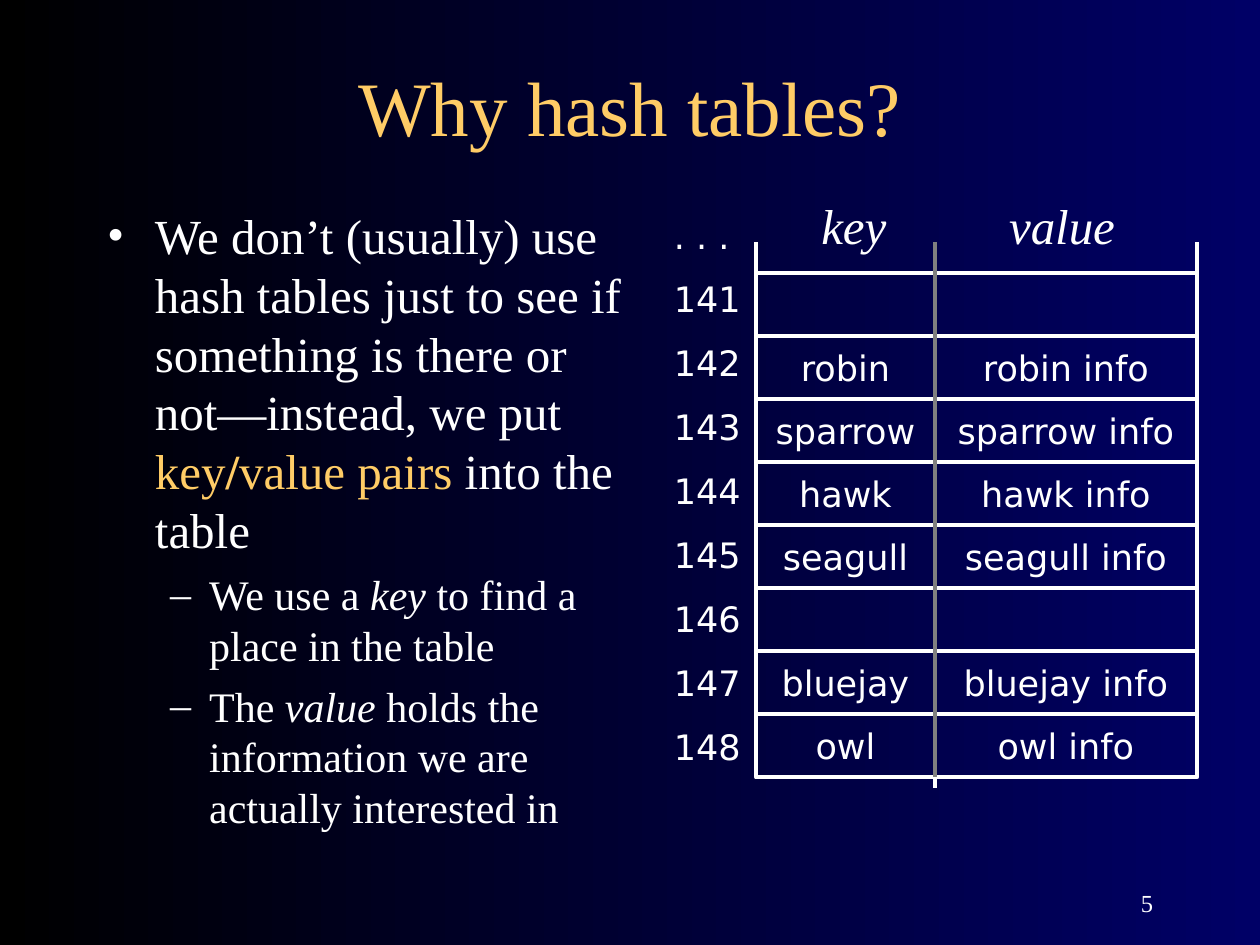
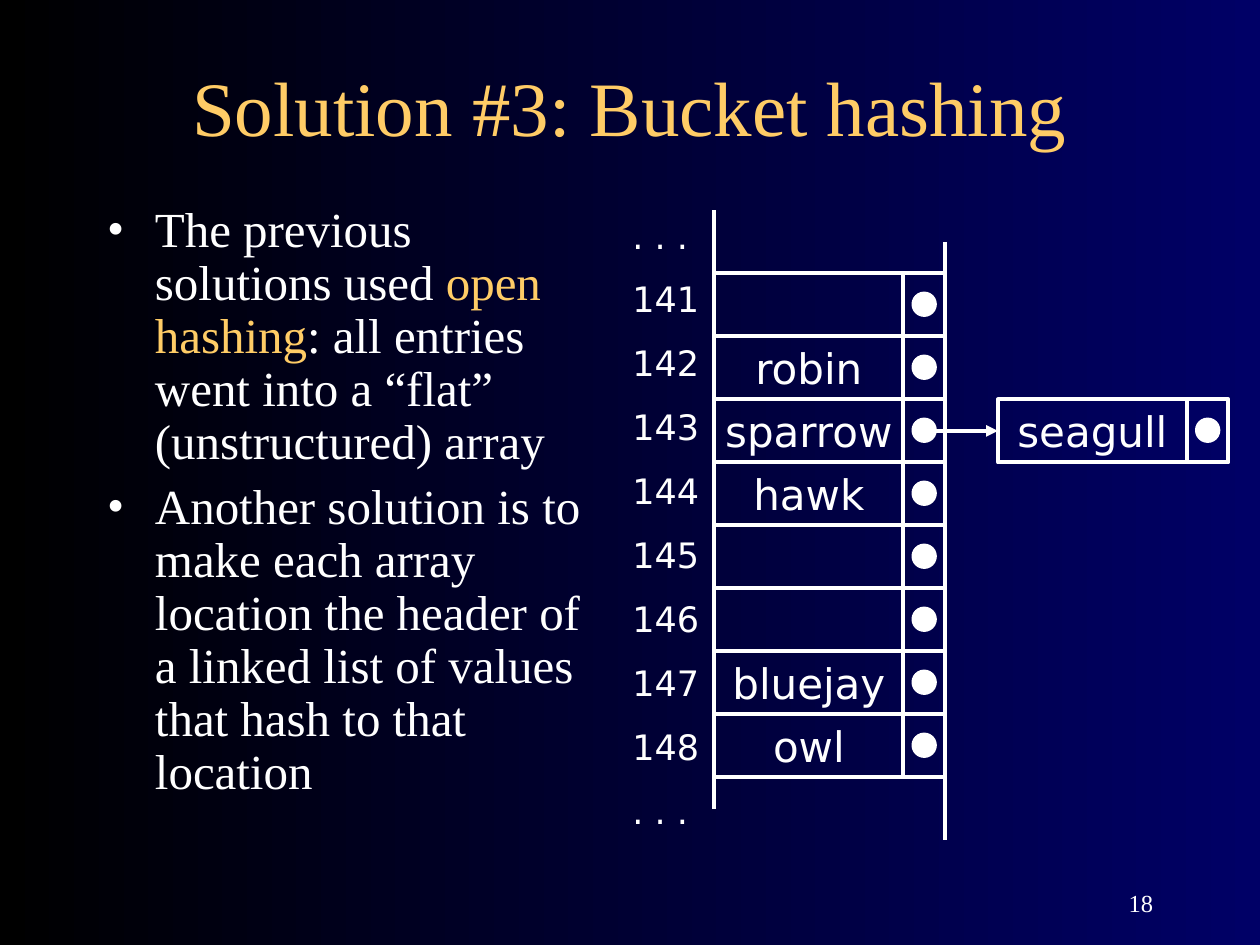
from lxml.etree import SubElement
from pptx import Presentation
from pptx.dml.color import RGBColor
from pptx.enum.shapes import MSO_CONNECTOR, MSO_SHAPE
from pptx.enum.text import MSO_ANCHOR, MSO_AUTO_SIZE, PP_ALIGN
from pptx.oxml.ns import qn
from pptx.util import Inches, Pt

WHITE, GOLD, GRAY = "FFFFFF", "FFCC66", "808080"
NAVY, BLACK = "000066", "000000"
SERIF, SANS = "Times New Roman", "DejaVu Sans"
ROW_H = 0.5
LINE_W = Pt(2.25)
BULLETS = [("•", 0.38, -0.38, 28, 7), ("–", 0.81, -0.31, 24, 6)]
INDEXES = [str(n) for n in range(141, 149)]
DOTS = ". . ."


def rgb(value):
    return RGBColor.from_string(value)


def inches(*values):
    return [Inches(v) for v in values]


def add_run(p, text, size, font=SERIF, color=WHITE, bold=False, italic=False):
    r = p.add_run()
    r.text = text
    r.font.name, r.font.size = font, Pt(size)
    r.font.bold, r.font.italic = bold, italic
    r.font.color.rgb = rgb(color)


def set_background(master):
    fill = master.background.fill
    fill.gradient()
    fill.gradient_angle = 180
    for stop, position, color in zip(fill.gradient_stops, (0, 1), (NAVY, BLACK)):
        stop.position = position
        stop.color.rgb = rgb(color)


def place(sp, x, y, w, h):
    sp.left, sp.top, sp.width, sp.height = inches(x, y, w, h)


def add_title(s, text):
    sp = s.shapes.title
    place(sp, 0.75, 0.42, 8.5, 0.83)
    tf = sp.text_frame
    tf.auto_size = MSO_AUTO_SIZE.NONE
    tf.vertical_anchor = MSO_ANCHOR.MIDDLE
    p = tf.paragraphs[0]
    p.alignment = PP_ALIGN.CENTER
    p.line_spacing = 1.0
    add_run(p, text, 44, color=GOLD)


def format_bullet(p, level):
    char, margin, indent, _, _ = BULLETS[level]
    p.level = level
    pPr = p._p.get_or_add_pPr()
    pPr.set("marL", str(Inches(margin)))
    pPr.set("indent", str(Inches(indent)))
    color = SubElement(pPr, qn("a:buClr"))
    SubElement(color, qn("a:srgbClr"), val=WHITE)
    SubElement(pPr, qn("a:buFont"), typeface=SERIF)
    SubElement(pPr, qn("a:buChar"), char=char)


def add_body(s, width, items, spacing):
    sp = s.placeholders[1]
    place(sp, 0.75, 1.58, width, 5.08)
    tf = sp.text_frame
    tf.auto_size = MSO_AUTO_SIZE.NONE
    for i, (level, runs) in enumerate(items):
        p = tf.add_paragraph() if i else tf.paragraphs[0]
        format_bullet(p, level)
        _, _, _, size, before = BULLETS[level]
        p.space_before = Pt(before if i else 0)
        p.line_spacing = spacing
        for text, style in runs:
            add_run(p, text, size, **style)


def add_text(s, x, y, w, h):
    tf = s.shapes.add_textbox(*inches(x, y, w, h)).text_frame
    tf.word_wrap = True
    return tf


def add_number(s, number):
    tf = add_text(s, 7.17, 6.83, 2.08, 0.5)
    tf.vertical_anchor = MSO_ANCHOR.BOTTOM
    p = tf.paragraphs[0]
    p.alignment = PP_ALIGN.RIGHT
    add_run(p, number, 14)


def add_labels(s, x, labels):
    tf = add_text(s, x, 1.65, 0.75, 5)
    for i, label in enumerate(labels):
        p = tf.add_paragraph() if i else tf.paragraphs[0]
        p.space_before = Pt(12.5 if i else 0)
        p.line_spacing = 1.0
        add_run(p, label, 20, SANS)


def add_outlined(s, kind, x, y, w, h):
    sp = s.shapes.add_shape(kind, *inches(x, y, w, h))
    sp.shadow.inherit = False
    sp.fill.background()
    sp.line.color.rgb = rgb(WHITE)
    sp.line.width = LINE_W
    return sp


def add_cell(s, x, y, w, text="", size=20):
    sp = add_outlined(s, MSO_SHAPE.FLOWCHART_PROCESS, x, y, w, ROW_H)
    if text:
        tf = sp.text_frame
        tf.word_wrap = False
        tf.vertical_anchor = MSO_ANCHOR.MIDDLE
        p = tf.paragraphs[0]
        p.alignment = PP_ALIGN.CENTER
        add_run(p, text, size, SANS)


def add_column(s, x, y, w, texts, size):
    for i, text in enumerate(texts):
        add_cell(s, x, y + i * ROW_H, w, text, size)


def add_line(s, x1, y1, x2, y2, color=WHITE, arrow=False):
    c = s.shapes.add_connector(MSO_CONNECTOR.STRAIGHT, *inches(x1, y1, x2, y2))
    c.line.color.rgb = rgb(color)
    c.line.width = LINE_W
    if arrow:
        SubElement(c.line._get_or_add_ln(), qn("a:tailEnd"), type="triangle")
    SubElement(c._element.spPr, qn("a:effectLst"))


def add_link_cell(s, x, y):
    add_cell(s, x, y, 0.33)
    dot = add_outlined(s, MSO_SHAPE.OVAL, x + 0.08, y + 0.16, 0.17, 0.17)
    dot.fill.solid()
    dot.fill.fore_color.rgb = rgb(WHITE)


def add_key_value_table(s, x, y, birds):
    key_w, value_w = 1.42, 2.08
    middle, right = x + key_w, x + key_w + value_w
    top, bottom = y - 0.25, y + len(birds) * ROW_H
    add_column(s, x, y, key_w, birds, 20)
    add_labels(s, x - 0.75, [DOTS] + INDEXES)
    add_line(s, x, top, x, bottom)
    add_line(s, middle, top + 0.08, middle, bottom + 0.08)
    add_column(s, middle, y, value_w, [b and f"{b} info" for b in birds], 20)
    add_line(s, middle, top, middle, bottom, GRAY)
    add_line(s, right, top, right, bottom)
    p = add_text(s, x + 0.42, y - 0.67, 3.08, 0.57).paragraphs[0]
    tabs = SubElement(p._p.get_or_add_pPr(), qn("a:tabLst"))
    SubElement(tabs, qn("a:tab"), pos=str(Inches(1.49)), algn="l")
    p.line_spacing = 1.0
    add_run(p, "key\tvalue", 28, italic=True)


def add_bucket_table(s, x, y, birds, chained, chained_row):
    key_w, link_w = 1.5, 0.33
    right = x + key_w + link_w
    bottom = y + len(birds) * ROW_H
    add_column(s, x, y, key_w, birds, 24)
    add_labels(s, x - 0.75, [DOTS] + INDEXES + [DOTS])
    add_line(s, x, y - 0.5, x, bottom + 0.25)
    add_line(s, right, y - 0.25, right, bottom + 0.5)
    for i in range(len(birds)):
        add_link_cell(s, x + key_w, y + i * ROW_H)
    node_x, node_y = x + 2.25, y + chained_row * ROW_H
    add_cell(s, node_x, node_y, key_w, chained, 24)
    add_link_cell(s, node_x + key_w, node_y)
    arrow_y = node_y + ROW_H / 2
    add_line(s, x + key_w + link_w / 2, arrow_y, node_x, arrow_y, arrow=True)


def add_slide(prs, title, number, body_w, items, spacing):
    s = prs.slides.add_slide(prs.slide_layouts[1])
    add_title(s, title)
    add_body(s, body_w, items, spacing)
    add_number(s, number)
    return s


def main():
    prs = Presentation()
    prs.slide_width, prs.slide_height = inches(10, 7.5)
    set_background(prs.slide_master)
    plain, gold, italic = {}, {"color": GOLD}, {"italic": True}

    s = add_slide(prs, "Why hash tables?", "5", 4.42, [
        (0, [("We don’t (usually) use hash tables just to see if something is "
              "there or not—instead, we put ", plain),
             ("key", gold), ("/", {"color": GOLD, "bold": True}),
             ("value pairs", gold), (" into the table", plain)]),
        (1, [("We use a ", plain), ("key", italic),
             (" to find a place in the table", plain)]),
        (1, [("The ", plain), ("value", italic),
             (" holds the information we are actually interested in", plain)]),
    ], 1.0)
    add_key_value_table(s, 6, 2.17, [
        "", "robin", "sparrow", "hawk", "seagull", "", "bluejay", "owl"])

    s = add_slide(prs, "Solution #3: Bucket hashing", "18", 4.08, [
        (0, [("The previous solutions used ", plain), ("open hashing", gold),
             (": all entries went into a “flat” (unstructured) array", plain)]),
        (0, [("Another solution is to make each array location the header of a "
              "linked list of values that hash to that location", plain)]),
    ], 0.9)
    add_bucket_table(s, 5.67, 2.17, [
        "", "robin", "sparrow", "hawk", "", "", "bluejay", "owl"], "seagull", 2)

    prs.save("out.pptx")


if __name__ == "__main__":
    main()
